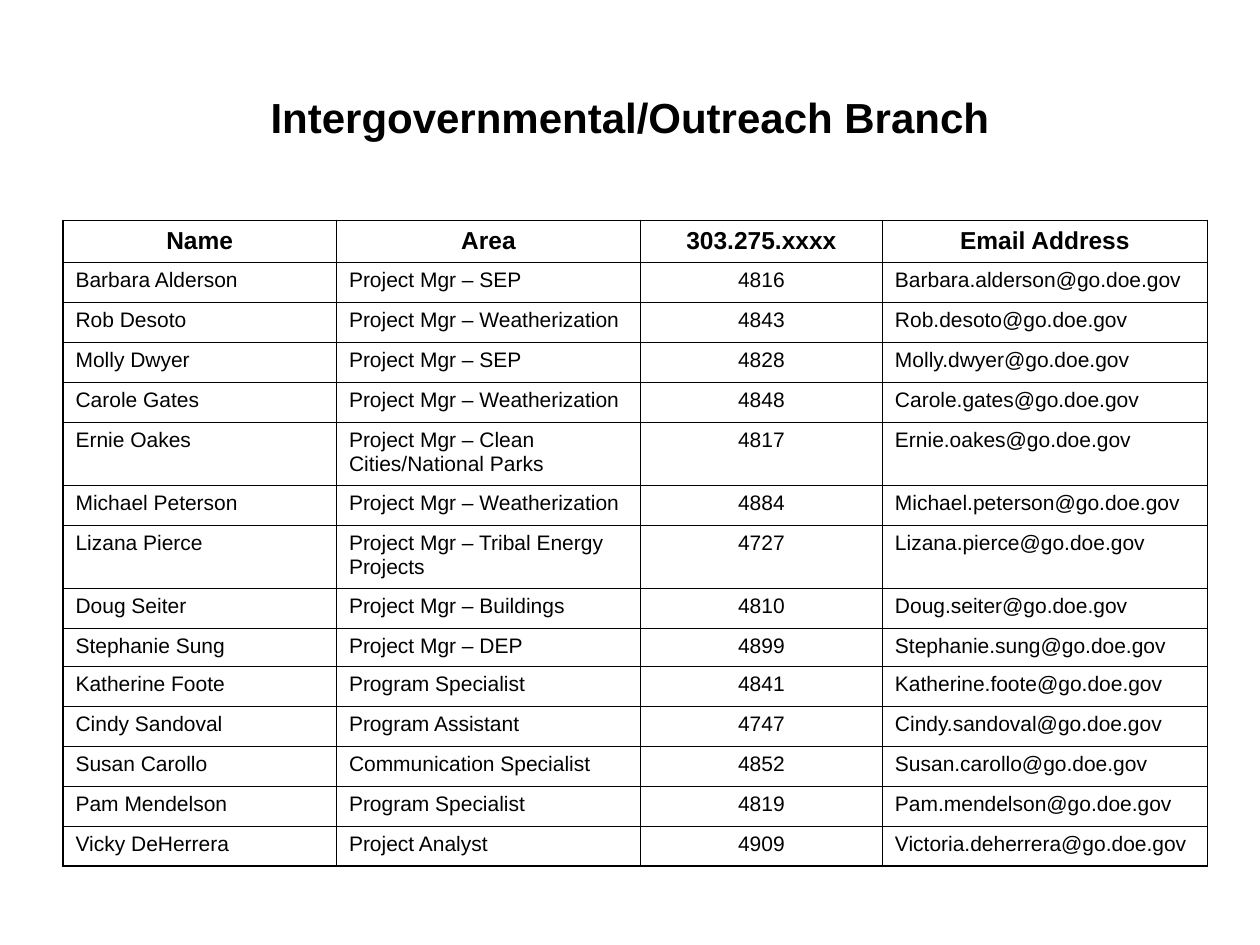
"""Build the branch contact slide with its staff table."""
from dataclasses import astuple, dataclass
from typing import Any

from lxml import etree
from pptx import Presentation
from pptx import util as u
from pptx.dml.color import RGBColor
from pptx.enum import text
from pptx.oxml import ns

BLACK = RGBColor(0, 0, 0)
WHITE = RGBColor(255, 255, 255)
LEFT, MID = text.PP_ALIGN.LEFT, text.PP_ALIGN.CENTER
THICK, THIN = u.Pt(1.08), u.Pt(0.45)

BASE = {"name": "Arial", "bold": False}
TITLE = {**BASE, "size": u.Pt(24), "bold": True}
HEAD = {**BASE, "size": u.Pt(14), "bold": True}
BODY = {**BASE, "size": u.Pt(12)}
PLAIN = {"first_row": False, "horz_banding": False}
PADS = {
    "margin_left": u.Pt(7.2),
    "margin_right": u.Pt(7.2),
    "margin_top": u.Pt(3.6),
    "margin_bottom": u.Pt(3.6),
}


@dataclass(frozen=True)
class Row:
    name: str
    area: str
    phone: str
    mail: str
    high: float = 22.86


ROWS = [
    Row("Name", "Area", "303.275.xxxx", "Email Address", 24),
    Row("Barbara Alderson", "Project Mgr – SEP", "4816", "Barbara.alderson@go.doe.gov"),
    Row("Rob Desoto", "Project Mgr – Weatherization", "4843", "Rob.desoto@go.doe.gov"),
    Row("Molly Dwyer", "Project Mgr – SEP", "4828", "Molly.dwyer@go.doe.gov"),
    Row("Carole Gates", "Project Mgr – Weatherization", "4848", "Carole.gates@go.doe.gov"),
    Row("Ernie Oakes", "Project Mgr – Clean Cities/National Parks", "4817",
        "Ernie.oakes@go.doe.gov", 36),
    Row("Michael Peterson", "Project Mgr – Weatherization", "4884",
        "Michael.peterson@go.doe.gov"),
    Row("Lizana Pierce", "Project Mgr – Tribal Energy Projects", "4727",
        "Lizana.pierce@go.doe.gov", 35.6),
    Row("Doug Seiter", "Project Mgr – Buildings", "4810", "Doug.seiter@go.doe.gov"),
    Row("Stephanie Sung", "Project Mgr – DEP", "4899", "Stephanie.sung@go.doe.gov", 21.6),
    Row("Katherine Foote", "Program Specialist", "4841", "Katherine.foote@go.doe.gov"),
    Row("Cindy Sandoval", "Program Assistant", "4747", "Cindy.sandoval@go.doe.gov"),
    Row("Susan Carollo", "Communication Specialist", "4852", "Susan.carollo@go.doe.gov"),
    Row("Pam Mendelson", "Program Specialist", "4819", "Pam.mendelson@go.doe.gov"),
    Row("Vicky DeHerrera", "Project Analyst", "4909", "Victoria.deherrera@go.doe.gov"),
]
WIDTHS = [156.25, 173.75, 138.25, 185.75]
ALIGNS = [LEFT, LEFT, MID, LEFT]


def apply(item: Any, form: dict[str, Any]) -> None:
    for key, value in form.items():
        setattr(item, key, value)


def write(frame: Any, words: str, form: dict[str, Any], align: Any) -> None:
    para = frame.paragraphs[0]
    para.alignment = align
    run = para.add_run()
    run.text = words
    apply(run.font, form)
    run.font.color.rgb = BLACK


def border(cell: Any, sides: dict[str, int]) -> None:
    props = cell._tc.get_or_add_tcPr()
    for side, width in sides.items():
        line = etree.SubElement(props, ns.qn(f"a:ln{side}"), w=str(width))
        fill = etree.SubElement(line, ns.qn("a:solidFill"))
        etree.SubElement(fill, ns.qn("a:srgbClr"), val=str(BLACK))


def draw_title(slide: Any, words: str) -> None:
    box = slide.shapes.add_textbox(u.Pt(36), u.Pt(21.6), u.Pt(648), u.Pt(90))
    frame = box.text_frame
    apply(frame, {**PADS, "word_wrap": True, "vertical_anchor": text.MSO_ANCHOR.MIDDLE})
    write(frame, words, TITLE, MID)


def draw_table(slide: Any, rows: list[Row]) -> None:
    high = sum(row.high for row in rows)
    grid = slide.shapes.add_table(
        len(rows), len(WIDTHS), u.Pt(36), u.Pt(126), u.Pt(sum(WIDTHS)), u.Pt(high)
    ).table
    apply(grid, PLAIN)
    for col, width in zip(grid.columns, WIDTHS):
        col.width = u.Pt(width)
    for r, row in enumerate(rows):
        grid.rows[r].height = u.Pt(row.high)
        for c, words in enumerate(astuple(row)[:len(WIDTHS)]):
            cell = grid.cell(r, c)
            apply(cell, PADS)
            border(cell, {
                "L": THICK if c == 0 else THIN,
                "R": THICK if c == len(WIDTHS) - 1 else THIN,
                "T": THICK if r == 0 else THIN,
                "B": THICK if r == len(rows) - 1 else THIN,
            })
            cell.fill.solid()
            cell.fill.fore_color.rgb = WHITE
            form, align = (BODY, ALIGNS[c]) if r else (HEAD, MID)
            write(cell.text_frame, words, form, align)


def main() -> None:
    deck = Presentation()
    apply(deck, {"slide_width": u.Pt(720), "slide_height": u.Pt(540)})
    slide = deck.slides.add_slide(deck.slide_layouts[6])
    draw_title(slide, "Intergovernmental/Outreach Branch")
    draw_table(slide, ROWS)
    deck.save("out.pptx")


if __name__ == "__main__":
    main()
